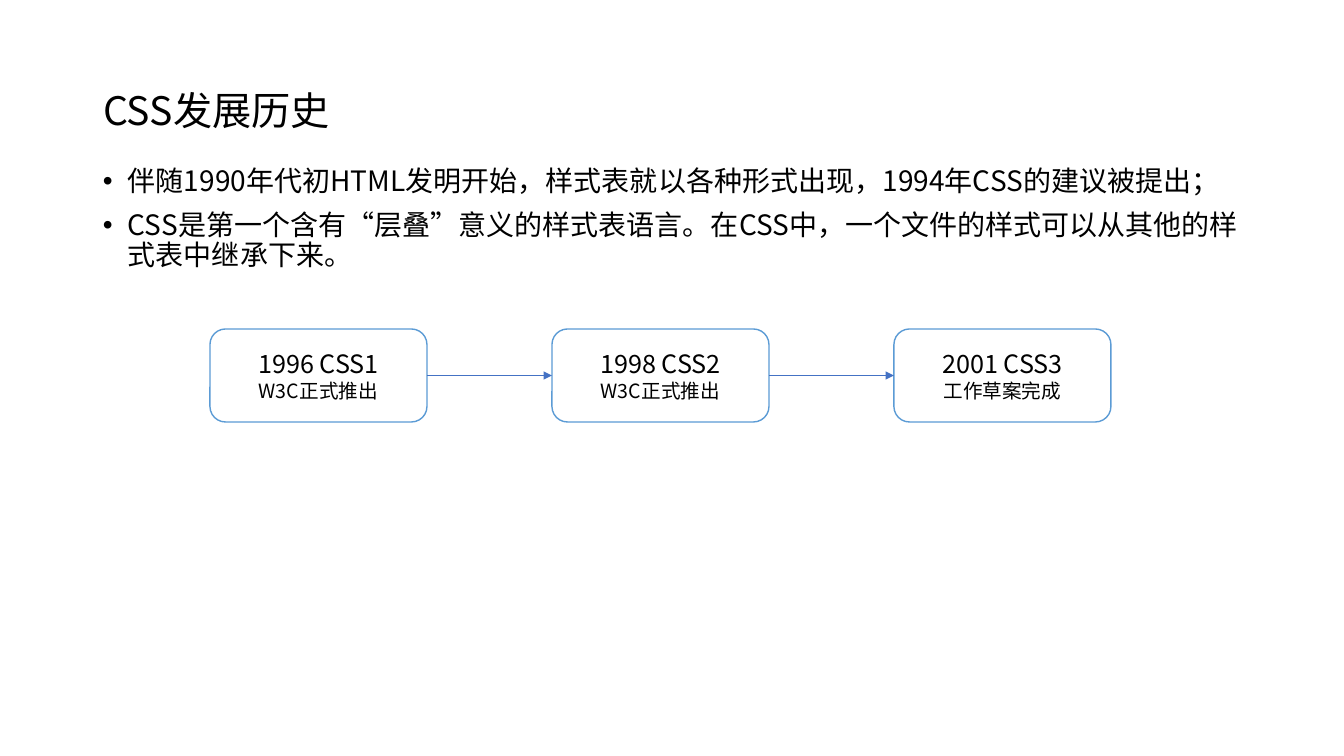
import lxml.etree
import pptx
import pptx.dml.color
import pptx.enum.shapes
import pptx.enum.text
import pptx.oxml.ns
import pptx.util

EMU_PER_INCH = 914400
PX_PER_INCH = 100.8
FONT = "Noto Sans CJK SC"
ALIGN = pptx.enum.text.PP_ALIGN
ANCHOR = pptx.enum.text.MSO_ANCHOR

TITLE = "CSS发展历史"
POINTS = [
    "伴随1990年代初HTML发明开始，样式表就以各种形式出现，1994年CSS的建议被提出；",
    "CSS是第一个含有“层叠”意义的样式表语言。在CSS中，一个文件的样式可以从其他的样式表中继承下来。",
]
VERSIONS = [
    ("1996 CSS1", "W3C正式推出"),
    ("1998 CSS2", "W3C正式推出"),
    ("2001 CSS3", "工作草案完成"),
]


def px(length):
    return pptx.util.Emu(round(length * EMU_PER_INCH / PX_PER_INCH))


def color(code):
    return pptx.dml.color.RGBColor.from_string(code)


def add_xml(parent, tag, **attributes):
    return lxml.etree.SubElement(parent, pptx.oxml.ns.qn(tag), **attributes)


def add_text(frame, text, size, first=False, align=ALIGN.LEFT, spacing=1.0, before=0, bullet=False):
    para = frame.paragraphs[0] if first else frame.add_paragraph()
    para.alignment = align
    para.line_spacing = spacing
    para.space_before = pptx.util.Pt(before)
    if bullet:
        properties = para._p.get_or_add_pPr()
        indent = px(25)
        properties.set("marL", str(indent))
        properties.set("indent", str(-indent))
        add_xml(properties, "a:buFont", typeface="Arial")
        add_xml(properties, "a:buChar", char="•")
    span = para.add_run()
    span.text = text
    span.font.size = pptx.util.Pt(size)
    span.font.name = FONT
    span.font.color.rgb = color("000000")
    add_xml(span._r.get_or_add_rPr(), "a:ea", typeface=FONT)


def set_frame(frame, anchor):
    frame.word_wrap = True
    frame.auto_size = pptx.enum.text.MSO_AUTO_SIZE.NONE
    frame.vertical_anchor = anchor


def place_title(page, left, top, width, height):
    title = page.shapes.title
    title.left, title.top, title.width, title.height = map(px, (left, top, width, height))
    set_frame(title.text_frame, ANCHOR.MIDDLE)
    add_text(title.text_frame, TITLE, 28, first=True, spacing=0.9)


def add_points(page, left, top, width, height):
    box = page.shapes.add_textbox(*map(px, (left, top, width, height)))
    set_frame(box.text_frame, ANCHOR.TOP)
    for index, point in enumerate(POINTS):
        add_text(box.text_frame, point, 20, first=index == 0, spacing=0.9, before=10, bullet=True)


def add_version(page, name, note, left, top, width, height):
    box = page.shapes.add_shape(pptx.enum.shapes.MSO_SHAPE.ROUNDED_RECTANGLE,
                                *map(px, (left, top, width, height)))
    box.shadow.inherit = False
    box.fill.solid()
    box.fill.fore_color.rgb = color("FFFFFF")
    box.line.color.rgb = color("5B9BD5")
    box.line.width = pptx.util.Pt(1)
    set_frame(box.text_frame, ANCHOR.MIDDLE)
    add_text(box.text_frame, name, 18, first=True, align=ALIGN.CENTER)
    add_text(box.text_frame, note, 14, align=ALIGN.CENTER)
    return box


def add_arrow(page, start, end):
    arrow = page.shapes.add_connector(pptx.enum.shapes.MSO_CONNECTOR.STRAIGHT, 0, 0, 0, 0)
    arrow.begin_connect(start, 3)
    arrow.end_connect(end, 1)
    arrow.line.color.rgb = color("4472C4")
    arrow.line.width = pptx.util.Pt(1)
    add_xml(arrow.line._get_or_add_ln(), "a:tailEnd", type="triangle")
    add_xml(arrow._element.spPr, "a:effectLst")


def add_timeline(page, left, top, width, height):
    box_width = 217
    step = (width - box_width) / (len(VERSIONS) - 1)
    boxes = [add_version(page, name, note, left + index * step, top, box_width, height)
             for index, (name, note) in enumerate(VERSIONS)]
    for start, end in zip(boxes, boxes[1:]):
        add_arrow(page, start, end)


def main():
    deck = pptx.Presentation()
    deck.slide_width, deck.slide_height = px(1344), px(756)
    page = deck.slides.add_slide(deck.slide_layouts.get_by_name("Title Only"))
    place_title(page, 93, 40, 1159, 146)
    add_points(page, 93, 162, 1178, 123)
    add_timeline(page, 210, 329, 901, 93)
    deck.save("out.pptx")


if __name__ == "__main__":
    main()
